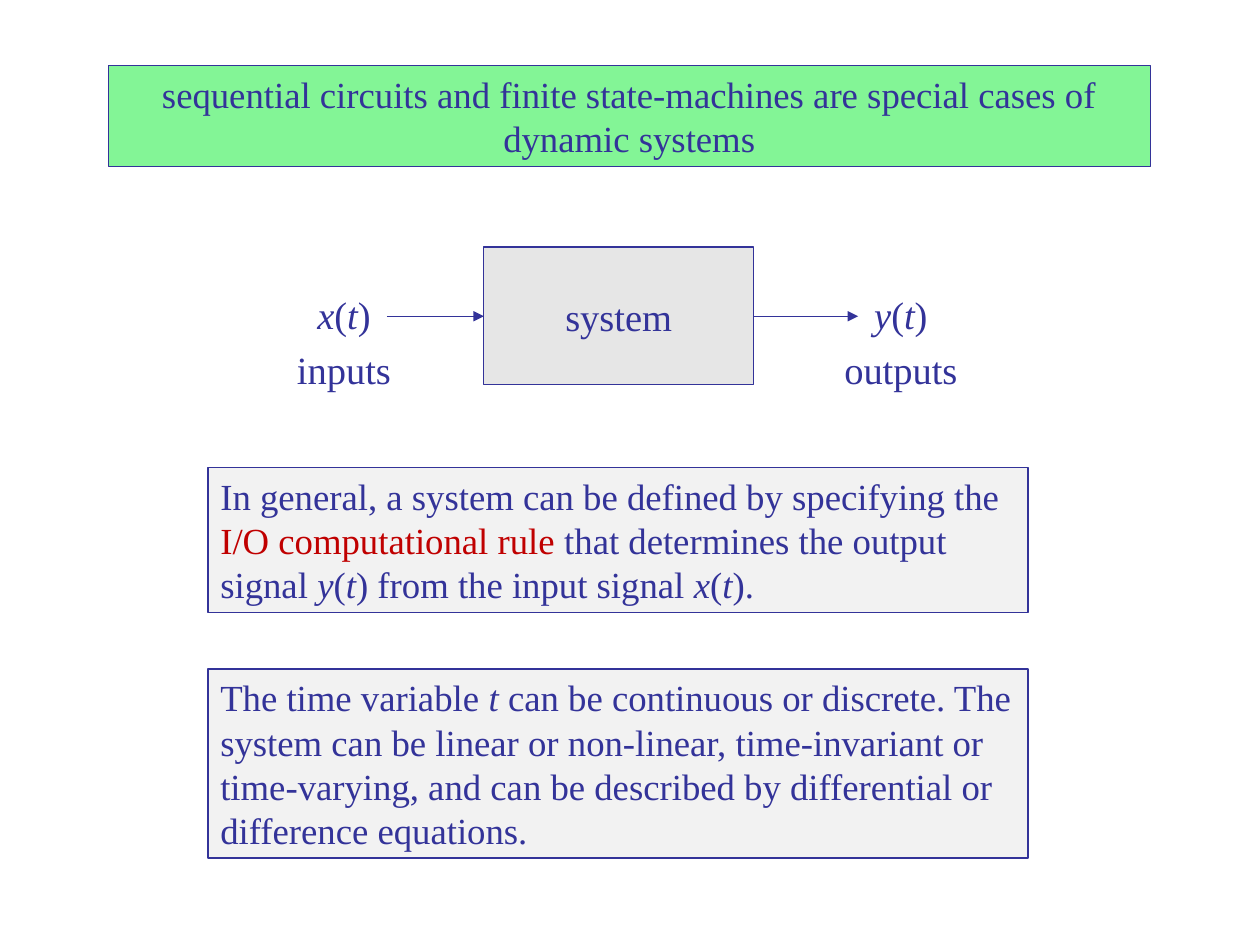
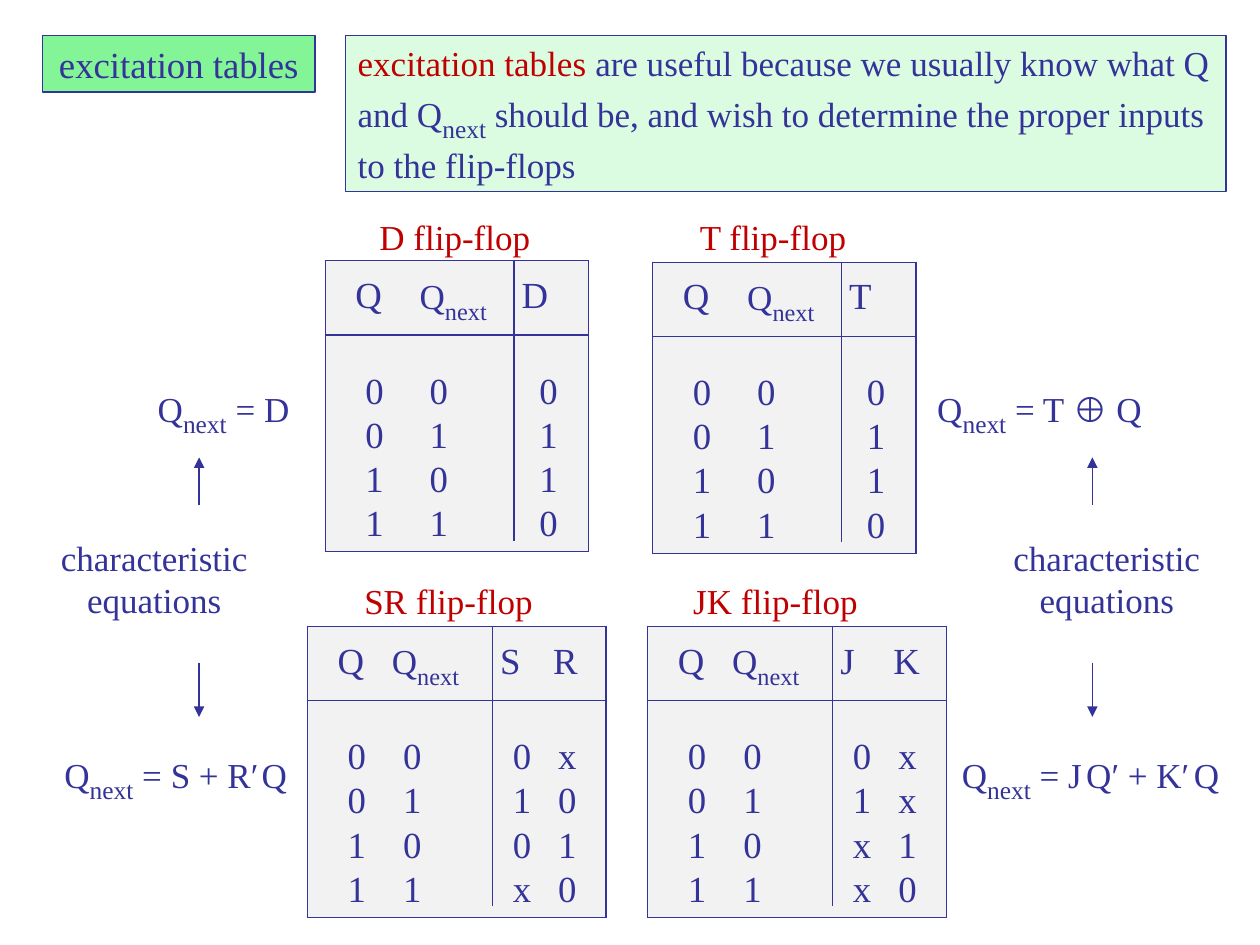
from dataclasses import dataclass

from lxml import etree
from pptx import Presentation
from pptx import util as u
from pptx.dml.color import RGBColor
from pptx.enum import shapes, text
from pptx.oxml import ns


@dataclass(frozen=True)
class Theme:
    font: str = "Times New Roman"
    symbol_font: str = "Arial"
    ink: str = "333399"
    accent: str = "C00000"
    title_fill: str = "83F596"
    remark_fill: str = "DCFCE1"
    panel_fill: str = "F2F2F2"
    system_fill: str = "E6E6E6"
    body: int = 21
    label: int = 22
    caption: int = 20
    subscript: int = 25
    table_subscript: int = 24
    line_width: float = 0.75


THEME = Theme()
CENTER = text.PP_ALIGN.CENTER
LEFT = text.PP_ALIGN.LEFT

# Runs used in several places
ITALIC = {"italic": True}
NEXT = ("next", {"size": THEME.subscript, "baseline": -25})

# Flip-flop tables: columns, cell insets, rows and divider in inches
COLUMNS = {3: (0.7, 0.8, 0.59), 4: (0.62, 0.85, 0.45, 0.45)}
HEADER_INSETS = (0.24, 0.05, 0.06, 0.03)
BODY_INSETS = {3: (0.32, 0.13, 0.2), 4: (0.32, 0.14, 0.16, 0.07)}
ROW_HEIGHTS = (0.59, 0.64, 0.35, 0.35, 0.38)
DIVIDER_HEIGHT = 2.22
STATES = ("00", "01", "10", "11")


def signal(name):
    return [(name, ITALIC), "(", ("t", ITALIC), ")"]


# Text
def write(frame, paragraphs, *, size=THEME.body, color=THEME.ink, align=LEFT):
    """Each paragraph is a list of strings or (string, format changes)."""
    for index, runs in enumerate(paragraphs):
        paragraph = frame.paragraphs[0] if index == 0 else frame.add_paragraph()
        paragraph.alignment = align
        for item in runs:
            words, changes = (item, {}) if isinstance(item, str) else item
            run = paragraph.add_run()
            run.text = words
            font = run.font
            font.name = changes.get("font", THEME.font)
            font.size = u.Pt(changes.get("size", size))
            font.italic = changes.get("italic", False)
            font.color.rgb = RGBColor.from_string(changes.get("color", color))
            if "baseline" in changes:
                properties = run._r.get_or_add_rPr()
                properties.set("baseline", str(changes["baseline"] * 1000))


def add_label(slide, box, paragraphs, **style):
    shape = slide.shapes.add_textbox(*map(u.Inches, box))
    shape.text_frame.word_wrap = True
    write(shape.text_frame, paragraphs, align=CENTER, **style)


def add_panel(slide, box, fill, paragraphs, *,
              anchor=text.MSO_ANCHOR.TOP, **style):
    shape = slide.shapes.add_shape(
        shapes.MSO_SHAPE.RECTANGLE, *map(u.Inches, box))
    shape.shadow.inherit = False
    shape.fill.solid()
    shape.fill.fore_color.rgb = RGBColor.from_string(fill)
    shape.line.color.rgb = RGBColor.from_string(THEME.ink)
    shape.line.width = u.Pt(THEME.line_width)
    shape.text_frame.word_wrap = True
    shape.text_frame.vertical_anchor = anchor
    write(shape.text_frame, paragraphs, **style)


# Lines and arrows
def add_line(slide, start, end, arrow=False):
    connector = slide.shapes.add_connector(
        shapes.MSO_CONNECTOR.STRAIGHT, *map(u.Inches, start + end))
    connector.line.color.rgb = RGBColor.from_string(THEME.ink)
    connector.line.width = u.Pt(THEME.line_width)
    if arrow:
        line = connector.line._get_or_add_ln()
        etree.SubElement(line, ns.qn("a:tailEnd"), type="triangle")
    etree.SubElement(connector._element.spPr, ns.qn("a:effectLst"))


# Tables
def set_borders(cell, visible):
    properties = cell._tc.get_or_add_tcPr()
    for side in "LRTB":
        line = etree.SubElement(properties, ns.qn(f"a:ln{side}"),
                                w=str(u.Pt(THEME.line_width)))
        if side in visible:
            fill = etree.SubElement(line, ns.qn("a:solidFill"))
            etree.SubElement(fill, ns.qn("a:srgbClr"), val=THEME.ink)
        else:
            etree.SubElement(line, ns.qn("a:noFill"))


def add_flip_flop(slide, name, caption_box, left, top, excitations):
    rows, columns = len(ROW_HEIGHTS), 2 + len(name)
    widths = COLUMNS[columns]
    width = sum(widths)
    frame = slide.shapes.add_table(
        rows, columns, u.Inches(left), u.Inches(top),
        u.Inches(width), u.Inches(sum(ROW_HEIGHTS)))
    table = frame.table
    table.first_row = table.horz_banding = False
    for column, column_width in zip(table.columns, widths):
        column.width = u.Inches(column_width)
    for row, height in zip(table.rows, ROW_HEIGHTS):
        row.height = u.Inches(height)

    next_state = [("Q", {"size": THEME.caption}),
                  ("next", {"size": THEME.table_subscript, "baseline": -25})]
    header = [["Q"], next_state] + [[letter] for letter in name]
    body = [[[value] for value in state + excitation]
            for state, excitation in zip(STATES, excitations)]

    for r, values in enumerate([header] + body):
        for c, runs in enumerate(values):
            cell = table.cell(r, c)
            outer = {"L": c == 0, "R": c == columns - 1,
                     "T": r == 0, "B": r == rows - 1}
            set_borders(cell, [side for side in outer if outer[side]])
            cell.fill.solid()
            cell.fill.fore_color.rgb = RGBColor.from_string(THEME.panel_fill)
            insets = HEADER_INSETS if r == 0 else BODY_INSETS[columns]
            cell.margin_left = u.Inches(insets[c])
            cell.margin_right = cell.margin_bottom = 0
            if r == 0:
                inset_top = 0.09 if c == 1 else 0.12
            else:
                inset_top = 0.29 if r == 1 else 0
            cell.margin_top = u.Inches(inset_top)
            write(cell.text_frame, [runs])

    # Rule under the header and divider that stops short of the frame
    rule_y = top + ROW_HEIGHTS[0]
    divider_x = left + sum(widths[:2])
    add_line(slide, (left + width, rule_y), (left, rule_y))
    add_line(slide, (divider_x, top), (divider_x, top + DIVIDER_HEIGHT))
    add_label(slide, caption_box, [[f"{name} flip-flop"]],
              size=THEME.caption, color=THEME.accent)


# Slides
def build_system_slide(slide):
    add_panel(slide, (0.86, 0.52, 8.27, 0.8), THEME.title_fill,
              [["sequential circuits and finite state-machines are special "
                "cases of dynamic systems"]], align=CENTER)

    # Block diagram
    add_panel(slide, (3.84, 1.96, 2.14, 1.09), THEME.system_fill,
              [["system"]], size=THEME.label, align=CENTER,
              anchor=text.MSO_ANCHOR.MIDDLE)
    add_line(slide, (3.07, 2.51), (3.84, 2.51), arrow=True)
    add_line(slide, (5.98, 2.51), (6.81, 2.51), arrow=True)
    for box, runs in (
        ((2.4, 2.26, 0.66, 0.47), signal("x")),
        ((6.82, 2.26, 0.66, 0.47), signal("y")),
        ((2.23, 2.7, 1, 0.47), ["inputs"]),
        ((6.58, 2.7, 1.14, 0.47), ["outputs"]),
    ):
        add_label(slide, box, [runs], size=THEME.label)

    # Explanations
    add_panel(slide, (1.65, 3.71, 6.51, 1.15), THEME.panel_fill, [
        ["In general, a system can be defined by specifying the"],
        [("I/O computational rule ", {"color": THEME.accent}),
         "that determines the output signal ", *signal("y"),
         " from the input signal ", *signal("x"), "."],
    ])
    add_panel(slide, (1.65, 5.31, 6.51, 1.5), THEME.panel_fill, [
        ["The time variable ", ("t ", ITALIC),
         "can be continuous or discrete. The system can be linear or "
         "non-linear, time-invariant or time-varying, and can be described "
         "by differential or difference equations."],
    ])


def build_excitation_slide(slide):
    add_panel(slide, (0.34, 0.28, 2.16, 0.45), THEME.title_fill,
              [["excitation tables"]], align=CENTER)
    add_panel(slide, (2.74, 0.28, 6.99, 1.24), THEME.remark_fill, [
        [("excitation tables ", {"color": THEME.accent}),
         "are useful because we usually know what Q and Q", NEXT,
         " should be, and wish to determine the proper inputs to the "
         "flip-flops"],
    ], size=THEME.caption)

    # Excitation tables
    for flip_flop in (
        ("D", (2.79, 1.66, 1.64, 0.44), 2.58, 2.07, "0110"),
        ("T", (5.39, 1.66, 1.49, 0.44), 5.18, 2.08, "0110"),
        ("SR", (2.66, 4.55, 1.8, 0.44), 2.44, 4.97, ("0x", "10", "01", "x0")),
        ("JK", (5.36, 4.55, 1.59, 0.44), 5.14, 4.97, ("0x", "1x", "x1", "x0")),
    ):
        add_flip_flop(slide, *flip_flop)

    # Characteristic equations
    for box, right_side in (
        ((1.06, 2.96, 1.43, 0.58), [" = D"]),
        ((7.27, 2.96, 1.96, 0.58),
         [" = T ", ("⊕", {"font": THEME.symbol_font}), " Q"]),
        ((0.36, 5.86, 2.07, 0.58), [" = S + Rʹ", (" ", {"size": 7}), "Q"]),
        ((7.38, 5.86, 2.55, 0.58),
         [" = J", (" ", {"size": 10}), "Qʹ + Kʹ", (" ", {"size": 10}), "Q"]),
    ):
        add_label(slide, box, [["Q", NEXT, *right_side]], size=THEME.caption)

    # Notes pointing up and down to the equations
    for left, arrow_x in ((0.31, 1.58), (7.87, 8.67)):
        add_label(slide, (left, 4.21, 1.83, 0.77),
                  [["characteristic"], ["equations"]], size=THEME.caption)
        add_line(slide, (arrow_x, 4.01), (arrow_x, 3.63), arrow=True)
        add_line(slide, (arrow_x, 5.26), (arrow_x, 5.69), arrow=True)


def main():
    presentation = Presentation()
    presentation.slide_width = u.Inches(10)
    presentation.slide_height = u.Inches(7.5)
    blank = presentation.slide_layouts[6]
    for build in (build_system_slide, build_excitation_slide):
        build(presentation.slides.add_slide(blank))
    presentation.save("out.pptx")


if __name__ == "__main__":
    main()
